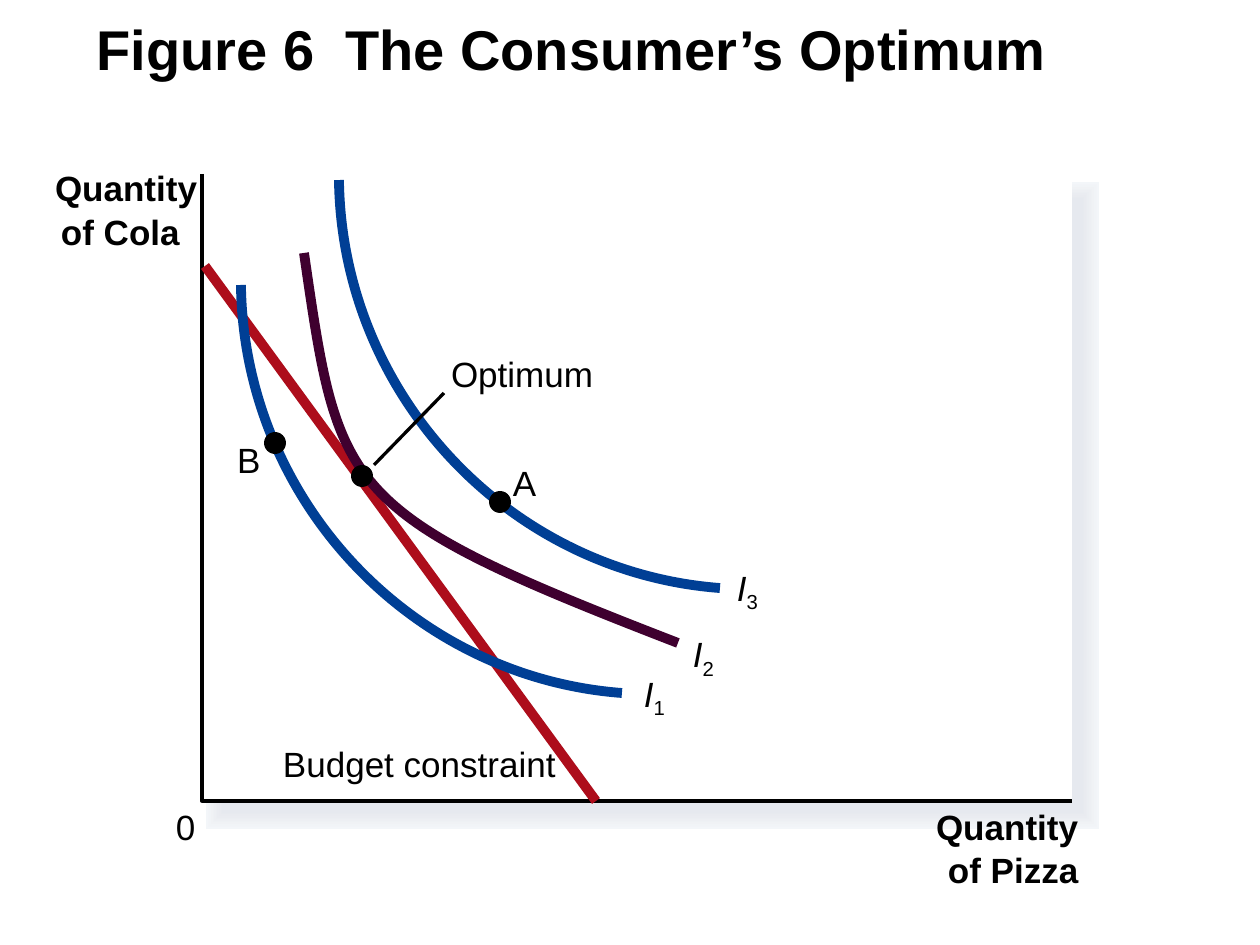
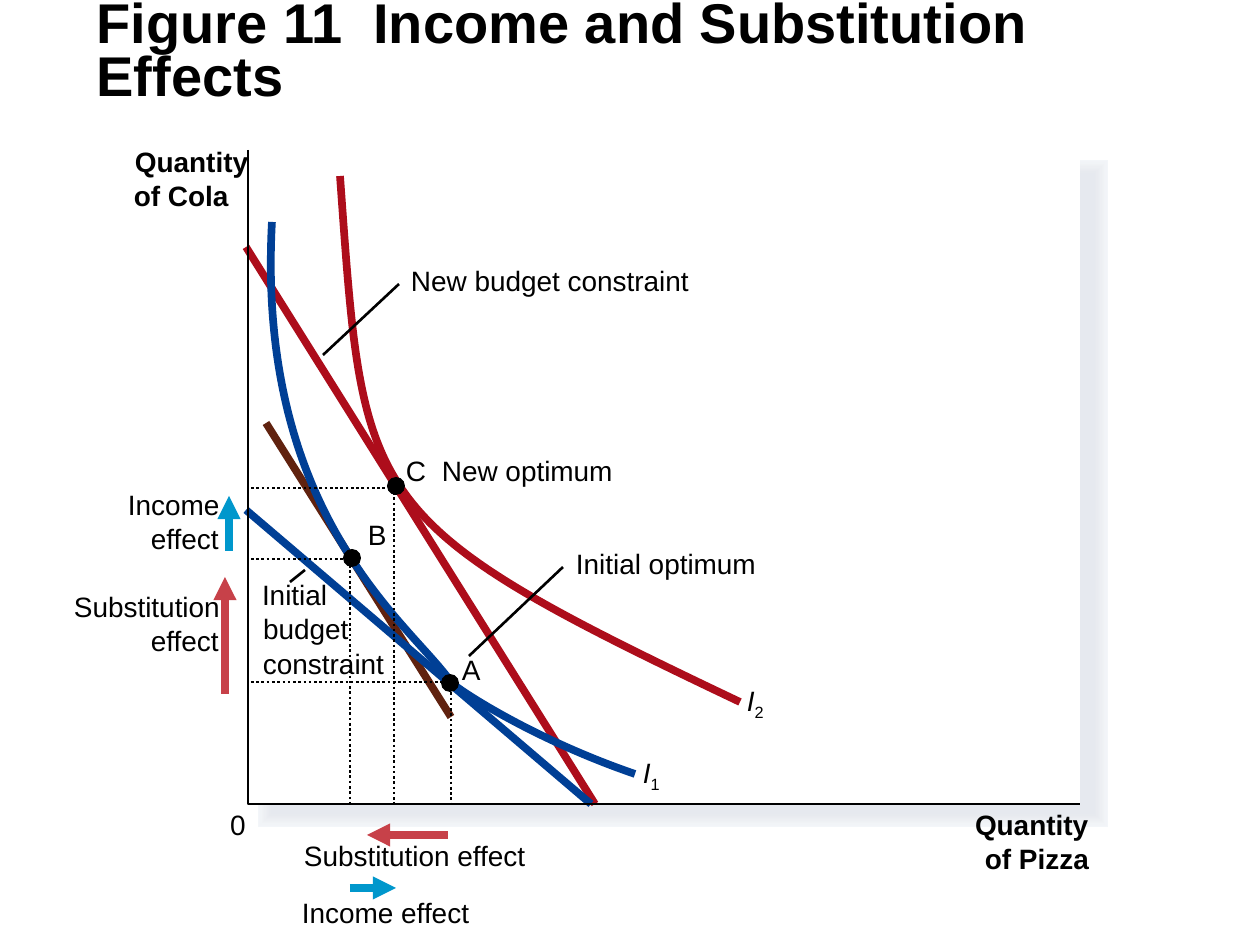
from dataclasses import dataclass
from typing import Any

from lxml.etree import SubElement
from pptx import Presentation
from pptx.dml.color import RGBColor
from pptx.enum.dml import MSO_LINE
from pptx.enum.shapes import MSO_CONNECTOR, MSO_SHAPE
from pptx.enum.text import MSO_ANCHOR, MSO_AUTO_SIZE, PP_ALIGN
from pptx.oxml.ns import qn
from pptx.util import Pt

PX = 914400 / 126  # EMU in one px
SLACK = 6  # px of spare width that keeps a label on one line


@dataclass(frozen=True)
class Theme:
    font: str = "Arial"
    title_pt: int = 32
    ink: str = "000000"
    paper: str = "FFFFFF"
    blue: str = "003F95"
    red: str = "AD0D1B"
    plum: str = "3F002F"
    brown: str = "60220F"
    substitution: str = "C74149"
    income: str = "0097CC"
    shadow: tuple = ("F3F6F9", "F2F4F8", "F1F4F7", "F0F2F5", "EEF1F4", "EDEFF3",
                     "EBEEF2", "EAECF1", "E9EBF0", "E7EAEF", "E6E9EF")


THEME = Theme()


@dataclass
class Figure:
    """One graph: its shapes, its type size and line weights, its plot area."""
    shapes: Any
    text_pt: int
    thin: float
    thick: float
    dot: int
    plot: tuple


def emu(*lengths):
    return [round(length * PX) for length in lengths]


def rgb(colour):
    return RGBColor.from_string(colour)


def style_line(line, colour, weight):
    line.color.rgb = rgb(colour)
    line.width = Pt(weight)


def style_run(run, size, bold=False, italic=False):
    font = run.font
    font.name, font.size = THEME.font, Pt(size)
    font.bold, font.italic = bold, italic
    font.color.rgb = rgb(THEME.ink)


# Slide and title
def titled_slide(prs, text):
    slide = prs.slides.add_slide(prs.slide_layouts[5])
    title = slide.shapes.title
    title.left, title.top, title.width, title.height = emu(84, 7, 1134, 94)
    frame = title.text_frame
    frame.text = text
    frame.auto_size = MSO_AUTO_SIZE.NONE
    frame.vertical_anchor = MSO_ANCHOR.MIDDLE
    paragraph = frame.paragraphs[0]
    paragraph.alignment = PP_ALIGN.LEFT
    paragraph.line_spacing = 0.8
    style_run(paragraph.runs[0], THEME.title_pt, bold=True)
    return slide.shapes


# Plot area: soft shadow, white plate, axes
def solid(fig, kind, box, fill):
    shape = fig.shapes.add_shape(kind, *emu(*box))
    shape.shadow.inherit = False
    shape.fill.solid()
    shape.fill.fore_color.rgb = rgb(fill)
    shape.line.fill.background()
    return shape


def plot_plate(fig, shadow_box, step):
    layers = len(THEME.shadow)
    for i, shade in enumerate(THEME.shadow):
        layer = solid(fig, MSO_SHAPE.RECTANGLE, shadow_box, shade)
        style_line(layer.line, shade, step * (layers - i))
        # Square corners
        SubElement(layer.line._get_or_add_ln(), qn("a:miter"), lim="800000")
    solid(fig, MSO_SHAPE.RECTANGLE, fig.plot, THEME.paper)


def outline(fig, points, colour, weight):
    builder = fig.shapes.build_freeform(*points[0], scale=PX)
    builder.add_line_segments(points[1:], close=False)
    shape = builder.convert_to_shape()
    shape.shadow.inherit = False
    shape.fill.background()
    style_line(shape.line, colour, weight)
    return shape


def axes(fig):
    left, top, width, height = fig.plot
    base = top + height
    outline(fig, [(left, top), (left, base), (left + width, base)],
            THEME.ink, fig.thin)


# Curves, lines, arrows and points
def curve(fig, points, colour):
    """Draw a start point and then Bezier points, three to each section."""
    shape = outline(fig, points, colour, fig.thick)
    segments = list(shape._element.iter(qn("a:lnTo")))
    for first in range(0, len(segments), 3):
        section = segments[first:first + 3]
        bezier = SubElement(section[0].getparent(), qn("a:cubicBezTo"))
        for segment in section:
            bezier.append(segment[0])
            segment.getparent().remove(segment)


def straight(fig, start, end, colour, weight):
    line = fig.shapes.add_connector(MSO_CONNECTOR.STRAIGHT, *emu(*start, *end))
    style_line(line.line, colour, weight)
    SubElement(line._element.spPr, qn("a:effectLst"))
    return line


def leader(fig, start, end):
    straight(fig, start, end, THEME.ink, fig.thin)


def budget_line(fig, start, end, colour):
    straight(fig, start, end, colour, fig.thick)


def effect_arrow(fig, tail, tip, colour):
    arrow = straight(fig, tail, tip, colour, fig.thick)
    SubElement(arrow.line._get_or_add_ln(), qn("a:tailEnd"), type="triangle")


def guide(fig, x, y):
    left, top, _, height = fig.plot
    dotted = outline(fig, [(left + 3, y), (x, y), (x, top + height)],
                     THEME.ink, fig.thin)
    dotted.line.dash_style = MSO_LINE.ROUND_DOT


def point(fig, x, y):
    radius = fig.dot // 2
    solid(fig, MSO_SHAPE.OVAL, (x - radius, y - radius, fig.dot, fig.dot), THEME.ink)


# Labels
def label(fig, text, x, y, width, bold=False):
    height = fig.text_pt * 2.1
    box = fig.shapes.add_textbox(*emu(x, y, width + SLACK, height))
    frame = box.text_frame
    frame.margin_left = frame.margin_top = frame.margin_right = frame.margin_bottom = 0
    frame.word_wrap = True
    frame.text = text
    paragraph = frame.paragraphs[0]
    style_run(paragraph.runs[0], fig.text_pt, bold)
    return paragraph


def labels(fig, rows, bold=False):
    for row in rows:
        label(fig, *row, bold=bold)


def curve_label(fig, number, x, y):
    paragraph = label(fig, "I", x, y, fig.text_pt + 1)
    paragraph.runs[0].font.italic = True
    subscript = paragraph.add_run()
    subscript.text = number
    style_run(subscript, fig.text_pt)
    subscript._r.get_or_add_rPr().set("baseline", "-25000")


# Figure 6
def consumer_optimum(prs):
    shapes = titled_slide(prs, "Figure 6  The Consumer’s Optimum")
    fig = Figure(shapes, 20, 1.87, 5.6, 22, (202, 174, 870, 627))
    plot_plate(fig, (224, 200, 857, 611), 1.87)
    axes(fig)
    labels(fig, [("Quantity", 936, 805, 142), ("of Pizza", 948, 848, 131),
                 ("Quantity", 55, 166, 142), ("of Cola", 61, 210, 118)], bold=True)
    label(fig, "0", 176, 805, 20)

    budget_line(fig, (205, 266), (596, 801), THEME.red)
    label(fig, "Budget constraint", 283, 742, 273)

    # I3 is I1 moved outwards
    lowest = [(622, 693), (411, 677), (244, 500), (241, 285)]
    highest = [(x + 98, y - 105) for x, y in lowest]
    middle = [(678, 643), (339, 512), (339, 493), (304, 253)]
    curve(fig, lowest, THEME.blue)
    curve(fig, middle, THEME.plum)
    curve(fig, highest, THEME.blue)
    for number, x, y in [("1", 644, 672), ("2", 693, 633), ("3", 737, 566)]:
        curve_label(fig, number, x, y)

    leader(fig, (444, 393), (374, 465))
    for x, y in [(362, 476), (500, 502), (275, 443)]:
        point(fig, x, y)
    labels(fig, [("Optimum", 451, 352, 142), ("A", 513, 461, 24), ("B", 237, 438, 24)])


# Figure 11
def income_and_substitution(prs):
    shapes = titled_slide(prs, "Figure 11  Income and Substitution Effects")
    fig = Figure(shapes, 16, 1.5, 4.38, 18, (248, 150, 832, 654))
    plot_plate(fig, (272, 174, 822, 639), 1.47)

    budget_line(fig, (266, 423), (451, 717), THEME.brown)
    budget_line(fig, (246, 247), (595, 804), THEME.red)
    budget_line(fig, (246, 510), (591, 804), THEME.blue)
    for tail, tip, colour in [
            ((225, 694), (225, 577), THEME.substitution),
            ((448, 835), (367, 835), THEME.substitution),
            ((229, 551), (229, 496), THEME.income),
            ((350, 888), (396, 888), THEME.income)]:
        effect_arrow(fig, tail, tip, colour)

    curve(fig, [(272, 222), (256, 518), (412, 625), (451, 682),
                (454, 687), (530, 738), (635, 774)], THEME.blue)
    curve(fig, [(340, 176), (364, 505), (357, 520), (740, 702)], THEME.red)
    curve_label(fig, "1", 643, 756)
    curve_label(fig, "2", 747, 684)

    # Clear ground behind the end of "constraint"
    solid(fig, MSO_SHAPE.RECTANGLE, (338, 649, 37, 30), THEME.paper)

    # Optimum points A, B and C with their guides
    for guide_at, point_at in [((451, 682), (450, 683)), ((350, 559), (352, 558)),
                               ((394, 488), (396, 486))]:
        guide(fig, *guide_at)
        point(fig, *point_at)
    for start, end in [((469, 656), (563, 567)), ((323, 355), (399, 284)),
                       ((290, 582), (305, 570))]:
        leader(fig, start, end)

    labels(fig, [("Quantity", 975, 808, 113), ("of Pizza", 985, 842, 105),
                 ("Quantity", 135, 145, 113), ("of Cola", 134, 179, 95)], bold=True)
    labels(fig, [
        ("0", 230, 808, 15),
        ("A", 462, 653, 19), ("Initial optimum", 576, 547, 180),
        ("B", 368, 518, 19),
        ("C", 406, 454, 20), ("New optimum", 442, 454, 171),
        ("New budget constraint", 411, 264, 278),
        ("Initial", 262, 578, 66), ("budget", 263, 612, 86), ("constraint", 263, 646, 121),
        ("Substitution", 74, 590, 146), ("effect", 151, 624, 68),
        ("Substitution effect", 304, 839, 222),
        ("Income", 128, 488, 92), ("effect", 151, 522, 68),
        ("Income effect", 302, 896, 168)])
    axes(fig)


def main():
    prs = Presentation()
    prs.slide_width, prs.slide_height = emu(1260, 945)
    consumer_optimum(prs)
    income_and_substitution(prs)
    prs.save("out.pptx")


if __name__ == "__main__":
    main()
